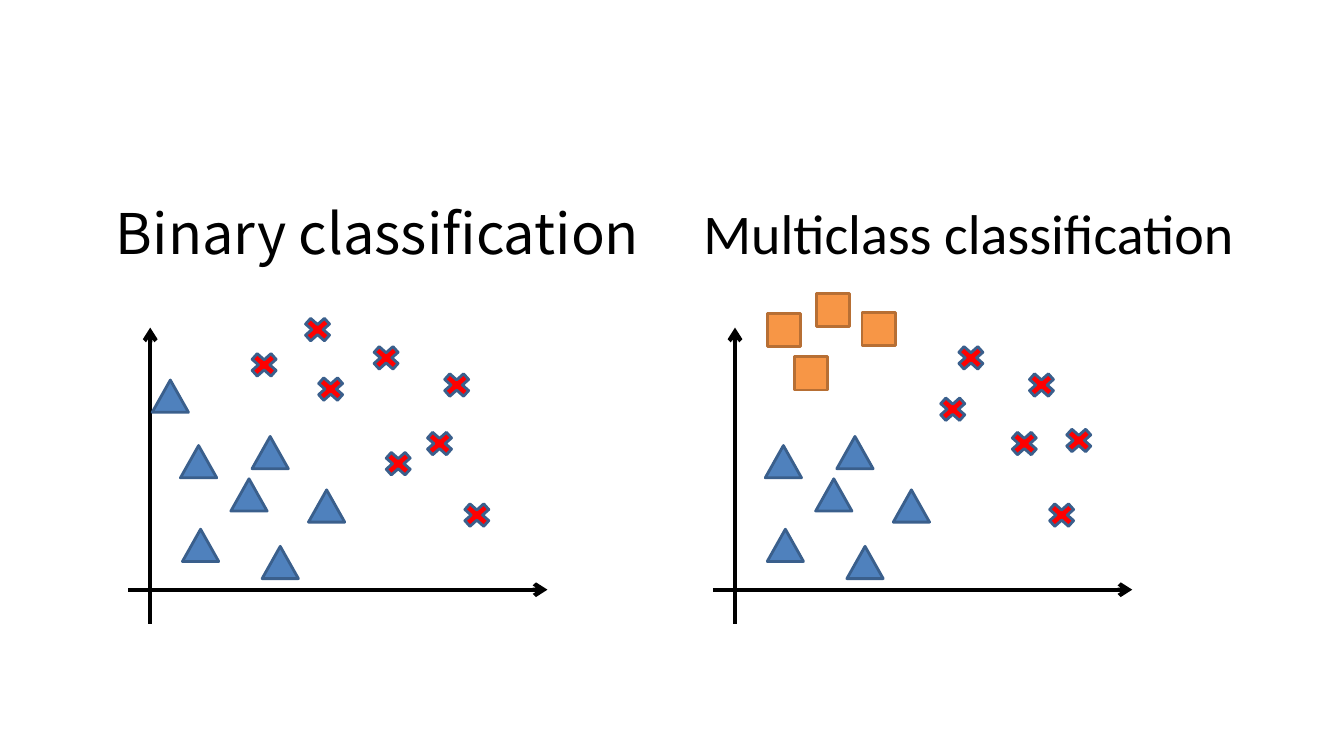
"""Build a slide that compares binary and multiclass classification."""
from lxml import etree
from pptx import Presentation
from pptx.dml.color import RGBColor
from pptx.enum.shapes import MSO_CONNECTOR, MSO_SHAPE
from pptx.enum.text import PP_ALIGN
from pptx.oxml.ns import qn
from pptx.util import Inches, Pt

STRAIGHT = MSO_CONNECTOR.STRAIGHT
TRIANGLE = MSO_SHAPE.ISOSCELES_TRIANGLE
CROSS = MSO_SHAPE.MATH_MULTIPLY
SQUARE = MSO_SHAPE.RECTANGLE
CENTER = PP_ALIGN.CENTER

COLORS = {
    "black": "000000",
    "blue": "4F81BD",
    "dark blue": "3A5F8C",
    "red": "FF0000",
    "orange": "F79646",
    "dark orange": "B76F34",
}
MARKERS = {
    "triangle": (TRIANGLE, 0.36, 0.32, "blue", "dark blue"),
    "cross": (CROSS, 0.36, 0.32, "red", "dark blue"),
    "square": (SQUARE, 0.33, 0.33, "orange", "dark orange"),
}
PANEL_OFFSET = 5.8
AXES = [(1.49, 6.19, 1.49, 3.25), (1.27, 5.85, 5.43, 5.85)]

shared_triangles = [(2.6, 5.42), (1.81, 5.25), (1.79, 4.42),
                    (2.29, 4.75), (3.06, 4.86), (2.5, 4.33)]
shared_crosses = [(3.65, 3.39), (4.18, 4.24), (4.35, 3.66), (4.55, 4.95)]

panels = [
    {
        "title": "Binary classification", "font": "Noto Sans CJK KR",
        "title_left": 0.92, "offset": 0,
        "points": {
            "triangle": shared_triangles + [(1.51, 3.77)],
            "cross": shared_crosses + [(2.44, 3.46), (3.77, 4.44),
                                       (3.1, 3.7), (2.97, 3.11)],
        },
    },
    {
        "title": "Multiclass classification", "font": "Calibri",
        "title_left": 6.78, "offset": PANEL_OFFSET,
        "points": {
            "triangle": shared_triangles,
            "cross": shared_crosses + [(4.72, 4.21), (3.47, 3.9)],
            "square": [(1.81, 3.11), (2.3, 2.91), (2.75, 3.1), (2.08, 3.54)],
        },
    },
]

presentation = Presentation()
presentation.slide_width = Inches(13.33)
presentation.slide_height = Inches(7.5)
slide = presentation.slides.add_slide(presentation.slide_layouts[6])


def add_text(text, left, top, width, height, font, size, color):
    """Add a centred text box."""
    box = slide.shapes.add_textbox(Inches(left), Inches(top), Inches(width), Inches(height))
    box.text_frame.word_wrap = True
    paragraph = box.text_frame.paragraphs[0]
    paragraph.text = text
    paragraph.alignment = CENTER
    paragraph.line_spacing = 0.9
    paragraph.font.name = font
    paragraph.font.size = Pt(size)
    paragraph.font.color.rgb = RGBColor.from_string(COLORS[color])


for panel in panels:
    offset = panel["offset"]
    add_text(panel["title"], left=panel["title_left"], top=2, width=5.65, height=4.76,
             font=panel["font"], size=40, color="black")

    for start_x, start_y, end_x, end_y in AXES:
        axis = slide.shapes.add_connector(
            STRAIGHT, Inches(start_x + offset), Inches(start_y),
            Inches(end_x + offset), Inches(end_y))
        axis.line.color.rgb = RGBColor.from_string(COLORS["black"])
        axis.line.width = Pt(3)
        etree.SubElement(axis.line._get_or_add_ln(), qn("a:tailEnd"), type="arrow")
        etree.SubElement(axis._element.spPr, qn("a:effectLst"))

    for kind, positions in panel["points"].items():
        preset, width, height, fill, outline = MARKERS[kind]
        for left, top in positions:
            marker = slide.shapes.add_shape(
                preset, Inches(left + offset), Inches(top), Inches(width), Inches(height))
            marker.shadow.inherit = False
            marker.fill.solid()
            marker.fill.fore_color.rgb = RGBColor.from_string(COLORS[fill])
            marker.line.color.rgb = RGBColor.from_string(COLORS[outline])
            marker.line.width = Pt(2)

presentation.save("out.pptx")
